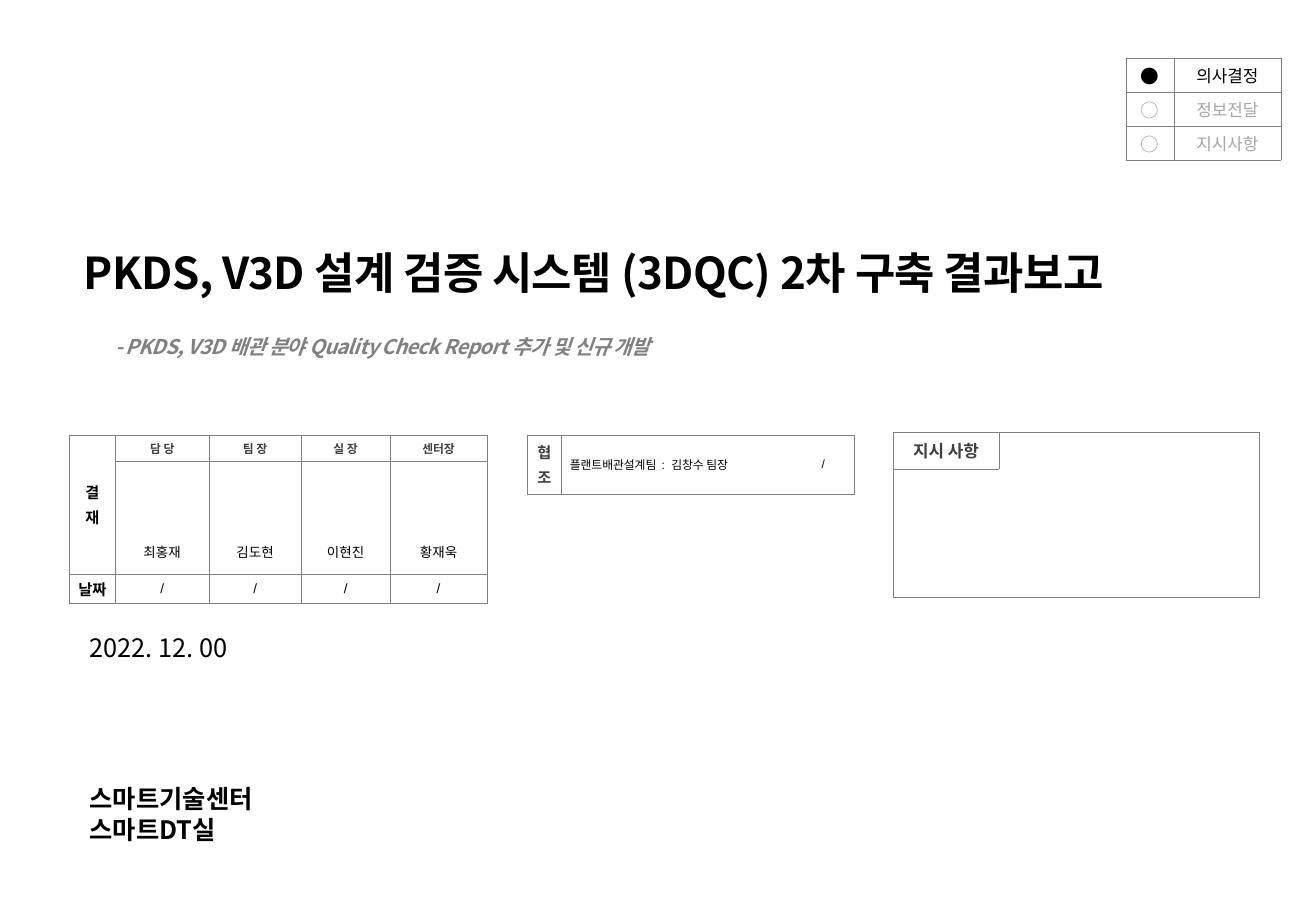
"""Builds the cover slide of a report with its approval tables."""
import pptx
import pptx.util
import pptx.dml.color
import pptx.enum.text
import pptx.oxml.ns
import lxml.etree

Inches, Pt = pptx.util.Inches, pptx.util.Pt
ALIGN = pptx.enum.text.PP_ALIGN
MIDDLE = pptx.enum.text.MSO_ANCHOR.MIDDLE
qn = pptx.oxml.ns.qn

COLORS = {"black": "000000", "dark": "404040", "grey": "808080", "pale": "A6A6A6"}
NOTO, ARIAL = "Noto Sans CJK KR", "Arial"

FONTS = {
    "title": (26, True, False, "black", NOTO),
    "sub": (12, True, True, "grey", NOTO),
    "date": (15, False, False, "black", NOTO),
    "team": (15, True, False, "black", NOTO),
    "dot": (11, False, False, "black", NOTO),
    "kind": (10, False, False, "black", NOTO),
    "dot off": (11, False, False, "pale", NOTO),
    "kind off": (10, False, False, "pale", NOTO),
    "order": (10, True, False, "dark", ARIAL),
    "side": (9, True, False, "black", ARIAL),
    "help": (9, True, False, "dark", ARIAL),
    "role": (7, True, False, "dark", ARIAL),
    "name": (8, False, False, "black", ARIAL),
    "note": (7, False, False, "black", ARIAL),
}
INSETS = {"order": (0.09, 0.05), "role": (0.09, 0.04), "note": (0.07, 0.04)}
TIGHT = {"title": -40, "sub": -40}

TEXTS = [
    ("title", (0.59, 1.95, 9.54, 0.58), ["PKDS, V3D 설계 검증 시스템 (3DQC) 2차 구축 결과보고"]),
    ("team", (0.64, 6.38, 4.41, 0.64), ["스마트기술센터", "스마트DT실"]),
    ("date", (0.64, 5.15, 4.41, 0.36), ["2022. 12. 00"]),
    ("sub", (0.85, 2.67, 6.55, 0.36),
     ["- PKDS, V3D 배관 분야 Quality Check Report 추가 및 신규 개발"]),
]

ROLES = ["담 당", "팀 장", "실 장", "센터장"]
NAMES = ["최홍재", "김도현", "이현진", "황재욱"]
BLANK = ("name", "")

TABLES = {
    "orders": ((7.35, 3.56), [3.01], [1.36], [[BLANK]]),
    "head": ((7.35, 3.56), [0.87], [0.3], [[("order", "지시 사항")]]),
    "kinds": ((9.27, 0.48), [0.39, 0.88], [0.28] * 3, [
        [("dot", "●"), ("kind", "의사결정")],
        [("dot off", "○"), ("kind off", "정보전달")],
        [("dot off", "○"), ("kind off", "지시사항")],
    ]),
    "signs": ((0.57, 3.58), [0.38, 0.77, 0.76, 0.73, 0.8], [0.22, 0.55, 0.38, 0.24], [
        [("side", "결\n재")] + [("role", role) for role in ROLES],
        [BLANK] * 5,
        [BLANK] + [("name", name) for name in NAMES],
        [("side", "날짜")] + [("name", "/")] * 4,
    ]),
    "help": ((4.34, 3.58), [0.28, 1.9, 0.51], [0.49], [
        [("help", "협\n조"), ("note", "플랜트배관설계팀  :  김창수 팀장"), ("note", "/")],
    ]),
}
SPANS = {"signs": ((0, 0), (2, 0))}
OPEN = {("help", 0, 1): "R", ("help", 0, 2): "L"}
for col in range(1, 5):
    OPEN["signs", 1, col] = "B"
    OPEN["signs", 2, col] = "T"


def apply(item, values):
    for key, value in values.items():
        setattr(item, key, value)


def write(frame, lines, style, align, gap=0):
    size, bold, slant, color, face = FONTS[style]
    for i, line in enumerate(lines):
        para = frame.paragraphs[0] if i == 0 else frame.add_paragraph()
        para.alignment = align
        if i:
            para.space_before = Pt(gap)
        if not line:
            para.font.size = Pt(size)
            continue
        run = para.add_run()
        run.text = line
        apply(run.font, {"size": Pt(size), "bold": bold, "italic": slant, "name": face})
        run.font.color.rgb = pptx.dml.color.RGBColor.from_string(COLORS[color])
        props = run.font._element
        lxml.etree.SubElement(props, qn("a:ea")).set("typeface", NOTO)
        if style in TIGHT:
            props.set("spc", str(TIGHT[style]))


def border(cell, gaps):
    props = cell._tc.get_or_add_tcPr()
    for side in "LRTB":
        line = lxml.etree.SubElement(props, qn("a:ln" + side))
        line.set("w", str(Pt(0.25)))
        if side in gaps:
            lxml.etree.SubElement(line, qn("a:noFill"))
        else:
            fill = lxml.etree.SubElement(line, qn("a:solidFill"))
            lxml.etree.SubElement(fill, qn("a:srgbClr")).set("val", COLORS["grey"])


def add_text(slide, style, place, lines):
    frame = slide.shapes.add_textbox(*map(Inches, place)).text_frame
    apply(frame, {"word_wrap": True, "vertical_anchor": MIDDLE})
    write(frame, lines, style, ALIGN.LEFT)


def add_grid(slide, key, spot, cols, rows, cells):
    size = (*spot, sum(cols), sum(rows))
    grid = slide.shapes.add_table(len(rows), len(cols), *map(Inches, size)).table
    apply(grid, {"first_row": False, "horz_banding": False})
    for col, width in zip(grid.columns, cols):
        col.width = Inches(width)
    for row, height in zip(grid.rows, rows):
        row.height = Inches(height)
    if key in SPANS:
        first, last = SPANS[key]
        grid.cell(*first).merge(grid.cell(*last))
    for r, line in enumerate(cells):
        for c, (style, text) in enumerate(line):
            cell = grid.cell(r, c)
            x, y = map(Inches, INSETS.get(style, (0, 0)))
            apply(cell, {"margin_left": x, "margin_right": x, "margin_top": y,
                         "margin_bottom": y, "vertical_anchor": MIDDLE})
            border(cell, OPEN.get((key, r, c), ""))
            cell.fill.background()
            left = style == "note" and text != "/"
            align = ALIGN.LEFT if left else ALIGN.CENTER
            write(cell.text_frame, text.split("\n"), style, align, 1.8)


def main():
    deck = pptx.Presentation()
    apply(deck, {"slide_width": Inches(10.83), "slide_height": Inches(7.5)})
    slide = deck.slides.add_slide(deck.slide_layouts[6])
    for text in TEXTS:
        add_text(slide, *text)
    for key, grid in TABLES.items():
        add_grid(slide, key, *grid)
    deck.save("out.pptx")


if __name__ == "__main__":
    main()
